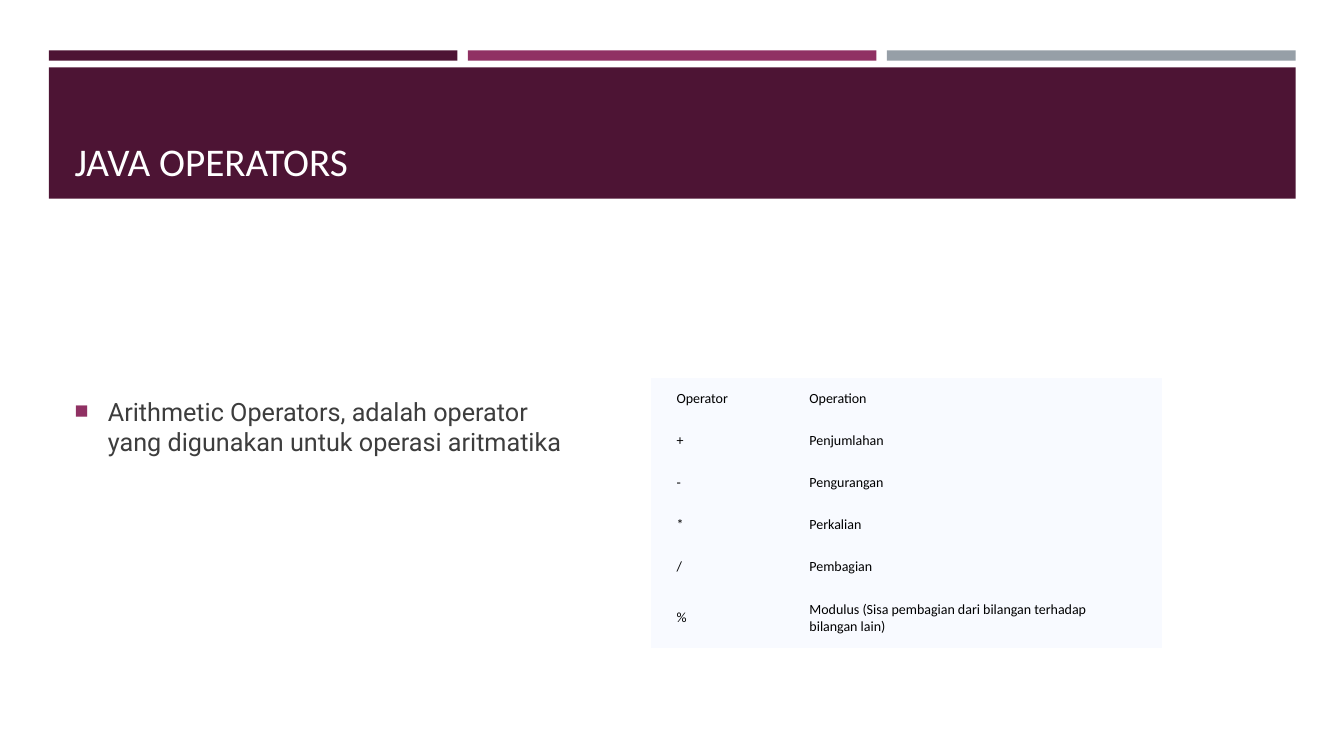
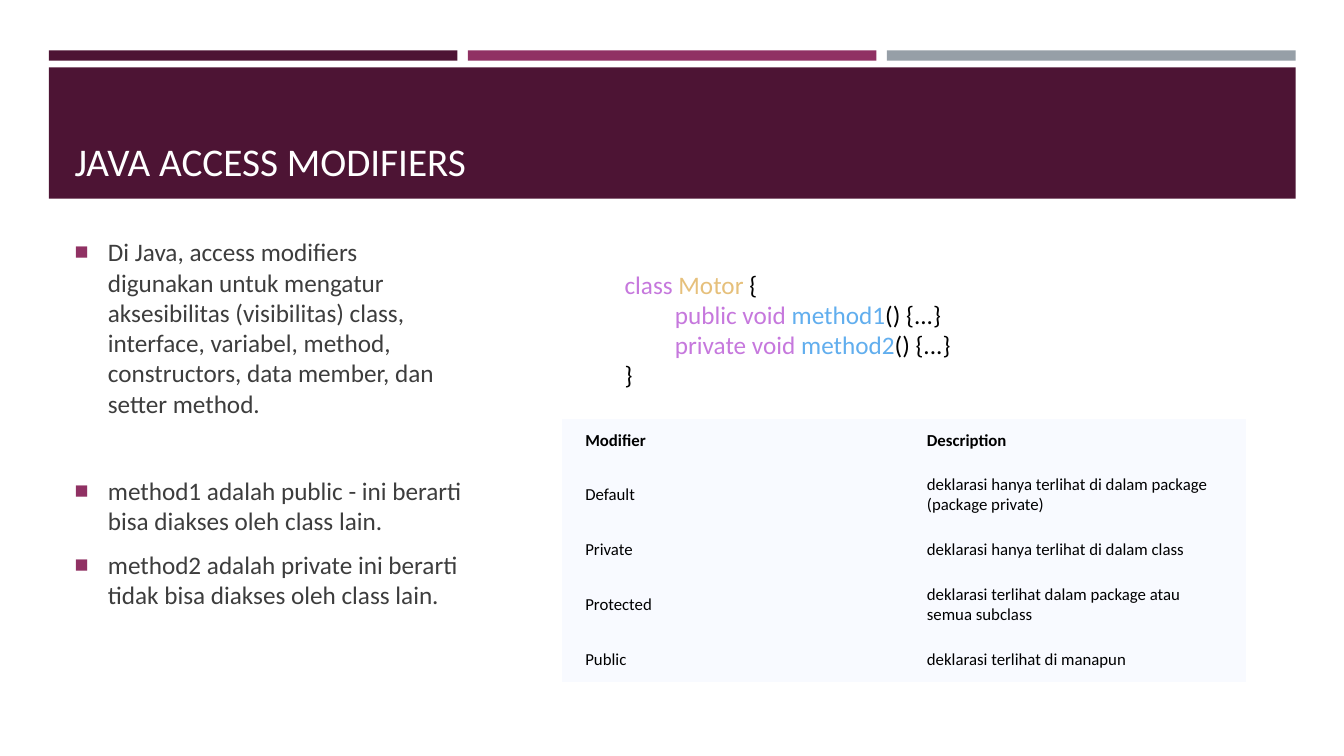
from lxml import etree
from pptx import Presentation
from pptx import util as u
from pptx.dml.color import RGBColor
from pptx.enum import shapes, text
from pptx.oxml.ns import qn

# Colours
PLUM = RGBColor(0x4D, 0x14, 0x34)
MAGENTA = RGBColor(0x90, 0x31, 0x63)
GREY = RGBColor(0x96, 0x9F, 0xA7)
WHITE = RGBColor(0xFF, 0xFF, 0xFF)
BLACK = RGBColor(0x00, 0x00, 0x00)
BODY_TEXT = RGBColor(0x3D, 0x3D, 0x3D)
CELL_FILL = RGBColor(0xF8, 0xFA, 0xFF)
KEYWORD = RGBColor(0xC6, 0x78, 0xDD)
CLASS_NAME = RGBColor(0xE6, 0xC0, 0x7B)
METHOD_NAME = RGBColor(0x61, 0xAE, 0xEE)

# Shared layout, in centimetres
BAND_LEFT, BAND_TOP, BAND_WIDTH, BAND_HEIGHT = 1.23, 1.7, 31.42, 3.31
BAR_TOP, BAR_HEIGHT, BAR_GAP = 1.27, 0.26, 0.26
TEXT_LEFT = 1.63
BULLET_INDENT = 0.84
CODE_INDENT = 1.27
FONT = "Calibri"
NO_GRID_STYLE = "{2D5ABB26-0587-4C30-8999-92F81FD0307C}"


def style_run(run, size, color, font=FONT, bold=False):
    run.font.size = u.Pt(size)
    run.font.name = font
    run.font.bold = bold
    run.font.color.rgb = color


def add_rectangle(slide, left, top, width, height, color):
    shape = slide.shapes.add_shape(
        shapes.MSO_SHAPE.RECTANGLE,
        u.Cm(left), u.Cm(top), u.Cm(width), u.Cm(height))
    shape.shadow.inherit = False
    shape.fill.solid()
    shape.fill.fore_color.rgb = color
    shape.line.fill.background()


def add_text_frame(slide, left, top, width, height, anchor=text.MSO_ANCHOR.TOP):
    box = slide.shapes.add_textbox(u.Cm(left), u.Cm(top), u.Cm(width), u.Cm(height))
    frame = box.text_frame
    frame.word_wrap = True
    frame.vertical_anchor = anchor
    return frame


def next_paragraph(frame, index):
    return frame.add_paragraph() if index else frame.paragraphs[0]


def add_bullet(paragraph):
    properties = paragraph._p.get_or_add_pPr()
    properties.set("marL", str(u.Cm(BULLET_INDENT)))
    properties.set("indent", str(-u.Cm(BULLET_INDENT)))
    color = etree.SubElement(properties, qn("a:buClr"))
    etree.SubElement(color, qn("a:srgbClr"), val=str(MAGENTA))
    etree.SubElement(properties, qn("a:buSzPct"), val="92000")
    etree.SubElement(properties, qn("a:buFont"), typeface="Arial")
    etree.SubElement(properties, qn("a:buChar"), char="■")


def add_titled_slide(presentation, title):
    slide = presentation.slides.add_slide(presentation.slide_layouts[6])
    # Three thin bars above the title band
    bar_width = (BAND_WIDTH - 2 * BAR_GAP) / 3
    for index, color in enumerate((PLUM, MAGENTA, GREY)):
        left = BAND_LEFT + index * (bar_width + BAR_GAP)
        add_rectangle(slide, left, BAR_TOP, bar_width, BAR_HEIGHT, color)
    # Title band
    add_rectangle(slide, BAND_LEFT, BAND_TOP, BAND_WIDTH, BAND_HEIGHT, PLUM)
    frame = add_text_frame(slide, TEXT_LEFT, 1.95, 30.63, 2.82, text.MSO_ANCHOR.BOTTOM)
    frame.text = title
    style_run(frame.paragraphs[0].runs[0], 28, WHITE)
    return slide


def add_bullets(slide, top, width, height, items, font=FONT):
    """Each item is its text and the space before it in points."""
    frame = add_text_frame(slide, TEXT_LEFT, top, width, height)
    for index, (words, space_before) in enumerate(items):
        paragraph = next_paragraph(frame, index)
        paragraph.text = words
        add_bullet(paragraph)
        paragraph.space_before = u.Pt(space_before)
        paragraph.space_after = u.Pt(6)
        style_run(paragraph.runs[0], 18, BODY_TEXT, font)


def add_code(slide, left, top, width, height, lines):
    """Each line is its indent level and its coloured parts."""
    frame = add_text_frame(slide, left, top, width, height)
    for index, (level, parts) in enumerate(lines):
        paragraph = next_paragraph(frame, index)
        paragraph._p.get_or_add_pPr().set("marL", str(u.Cm(level * CODE_INDENT)))
        for words, color in parts:
            run = paragraph.add_run()
            run.text = words
            style_run(run, 18, color)


def add_plain_table(slide, left, top, widths, heights, rows, size, margins,
                    bold_header=False):
    frame = slide.shapes.add_table(
        len(rows), len(widths), u.Cm(left), u.Cm(top),
        u.Cm(sum(widths)), u.Cm(sum(heights)))
    table = frame.table
    table.horz_banding = False
    table._tbl.tblPr.find(qn("a:tableStyleId")).text = NO_GRID_STYLE
    for column, width in zip(table.columns, widths):
        column.width = u.Cm(width)
    side, edge = (u.Cm(margin) for margin in margins)
    for row_index, (height, values) in enumerate(zip(heights, rows)):
        table.rows[row_index].height = u.Cm(height)
        for cell, value in zip(table.rows[row_index].cells, values):
            cell.fill.solid()
            cell.fill.fore_color.rgb = CELL_FILL
            cell.vertical_anchor = text.MSO_ANCHOR.MIDDLE
            cell.margin_left = cell.margin_right = side
            cell.margin_top = cell.margin_bottom = edge
            cell.text = value
            style_run(cell.text_frame.paragraphs[0].runs[0], size, BLACK,
                      bold=bold_header and row_index == 0)


def build_operators(presentation):
    slide = add_titled_slide(presentation, "JAVA OPERATORS")
    add_bullets(slide, 9.85, 12.88, 2, [
        ("Arithmetic Operators, adalah operator yang digunakan untuk "
         "operasi aritmatika", 0),
    ], font="Roboto")
    add_plain_table(slide, 16.41, 9.52, [3.35, 9.53], [1.06] * 5 + [1.5], [
        ("Operator", "Operation"),
        ("+", "Penjumlahan"),
        ("-", "Pengurangan"),
        ("*", "Perkalian"),
        ("/", "Pembagian"),
        ("%", "Modulus (Sisa pembagian dari bilangan terhadap bilangan lain)"),
    ], size=10, margins=(0.64, 0.3))


def build_access_modifiers(presentation):
    slide = add_titled_slide(presentation, "JAVA ACCESS MODIFIERS")
    add_bullets(slide, 5.84, 10.36, 10, [
        ("Di Java, access modifiers digunakan untuk mengatur aksesibilitas "
         "(visibilitas) class, interface, variabel, method, constructors, "
         "data member, dan setter method.", 0),
        ("method1 adalah public - ini berarti bisa diakses oleh class lain.", 35),
        ("method2 adalah private ini berarti tidak bisa diakses oleh class lain.", 3.6),
    ])
    add_code(slide, 15.49, 6.65, 8.81, 3.33, [
        (0, [("class ", KEYWORD), ("Motor ", CLASS_NAME), ("{", BLACK)]),
        (1, [("public void ", KEYWORD), ("method1", METHOD_NAME), ("() {...}", BLACK)]),
        (1, [("private void ", KEYWORD), ("method2", METHOD_NAME), ("() {...}", BLACK)]),
        (0, [("}", BLACK)]),
    ])
    add_plain_table(slide, 14.17, 10.56, [8.61, 8.61], [1.09, 1.63, 1.14, 1.63, 1.14], [
        ("Modifier", "Description"),
        ("Default", "deklarasi hanya terlihat di dalam package (package private)"),
        ("Private", "deklarasi hanya terlihat di dalam class"),
        ("Protected", "deklarasi terlihat dalam package atau semua subclass"),
        ("Public", "deklarasi terlihat di manapun"),
    ], size=12, margins=(0.58, 0.28), bold_header=True)


def main():
    presentation = Presentation()
    presentation.slide_width = u.Cm(33.87)
    presentation.slide_height = u.Cm(19.05)
    build_operators(presentation)
    build_access_modifiers(presentation)
    presentation.save("out.pptx")


if __name__ == "__main__":
    main()
